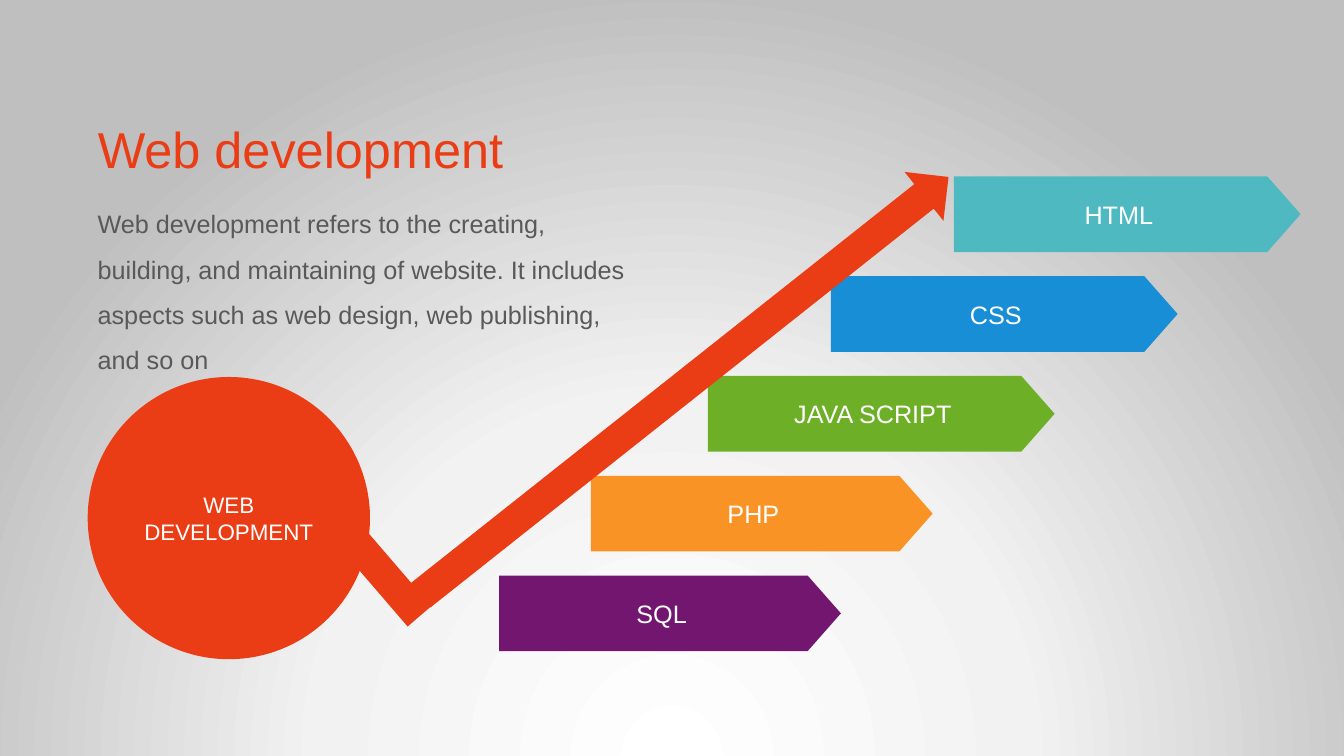
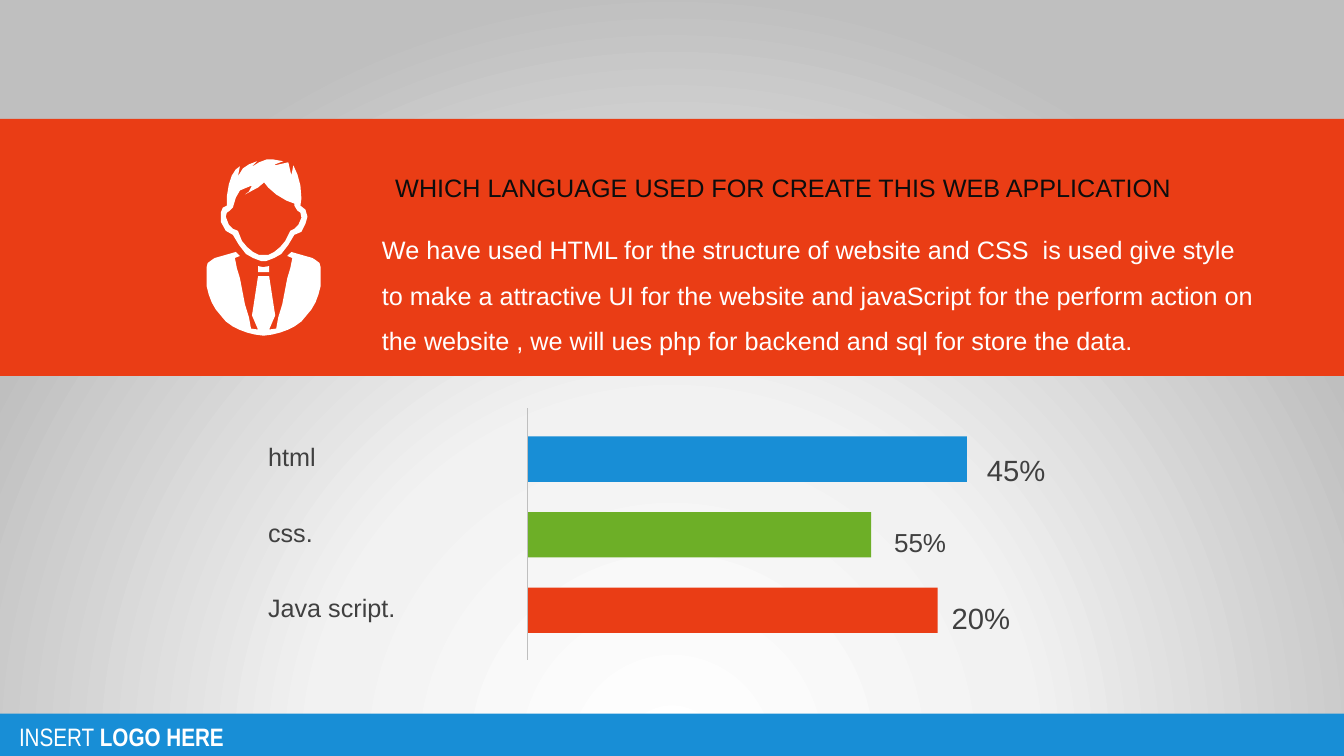
from lxml import etree
from pptx import Presentation
from pptx.dml.color import RGBColor
from pptx.enum import shapes, text
from pptx.oxml import parse_xml
from pptx.oxml.ns import nsdecls, qn
from pptx.util import Inches, Pt

RED = RGBColor(0xEA, 0x3D, 0x15)
BLUE = RGBColor(0x18, 0x8E, 0xD6)
GREEN = RGBColor(0x6D, 0xAF, 0x27)
TEAL = RGBColor(0x4E, 0xB9, 0xC1)
ORANGE = RGBColor(0xF9, 0x93, 0x25)
PURPLE = RGBColor(0x73, 0x16, 0x6F)
WHITE = RGBColor(0xFF, 0xFF, 0xFF)
BLACK = RGBColor(0x0D, 0x0D, 0x0D)
DARK = RGBColor(0x40, 0x40, 0x40)
GREY = RGBColor(0x59, 0x59, 0x59)
SILVER = RGBColor(0xBF, 0xBF, 0xBF)
FONT = "Arial"
NARROW = "Arial Narrow"
SHAPE = shapes.MSO_SHAPE
SLIDE_W = 13.33
BACKDROP = ((0, "FFFFFF"), (46000, "F2F2F2"), (100000, "BFBFBF"))

STEPS = (
    ("HTML", 9.46, 3.44, TEAL),
    ("CSS", 8.24, 3.44, BLUE),
    ("JAVA SCRIPT", 7.02, 3.44, GREEN),
    ("PHP", 5.86, 3.39, ORANGE),
    ("SQL", 4.95, 3.39, PURPLE),
)
BARS = (
    ("html", 4.36, BLUE, "45%", 9.69, 4.38, 36),
    ("css.", 3.41, GREEN, "55%", 8.77, 5.12, 32),
    ("Java script.", 4.07, RED, "20%", 9.34, 5.85, 36),
)

ICON_UNIT = Inches(0.01)
ICON_AXIS_SUM = 523
KNOT = ((256, 264), (261, 265), (267, 264), (267, 270), (256, 270))
JACKET_HALF = (
    (262, 333), (270, 332), (278, 330), (286, 327), (292, 324), (299, 319),
    (304, 313), (309, 307), (313, 300), (316, 292), (318, 284), (318, 265),
    (317, 261), (313, 258), (310, 256), (289, 250), (287, 252), (285, 254),
    (290, 256), (288, 266), (285, 276), (280, 302), (276, 315), (274, 326),
    (267, 327), (273, 313), (267, 274),
)
FACE = (
    (262, 181), (256, 186), (243, 193), (247, 190), (250, 184), (245, 186),
    (238, 189), (234, 196), (231, 206), (228, 209), (225, 211), (224, 215),
    (227, 223), (231, 227), (236, 229), (240, 239), (245, 245), (251, 250),
    (257, 253), (266, 253), (272, 250), (278, 245), (283, 239), (288, 229),
    (292, 227), (296, 223), (299, 216), (298, 211), (295, 209), (292, 204),
    (292, 202), (284, 199), (274, 193), (266, 186),
)
HEAD = (
    (270, 158), (281, 160), (273, 163), (273, 164), (286, 161), (289, 174),
    (291, 164), (295, 173), (298, 184), (299, 197), (298, 204), (303, 208),
    (305, 215), (303, 222), (299, 230), (292, 233), (286, 243), (279, 252),
    (272, 256), (264, 259), (259, 259), (251, 256), (244, 252), (237, 243),
    (231, 233), (224, 229), (219, 220), (219, 211), (221, 206), (225, 204),
    (225, 195), (227, 183), (230, 174), (234, 168), (238, 165), (236, 175),
    (241, 167), (247, 163), (255, 160), (249, 166), (257, 161), (265, 158),
)


def set_backdrop(master):
    """Give the master the grey radial gradient that all slides share."""
    master.background.fill.solid()
    bg = master._element.find(".//" + qn("p:bgPr"))
    stops = "".join(
        f'<a:gs pos="{pos}"><a:srgbClr val="{val}"/></a:gs>' for pos, val in BACKDROP
    )
    bg.replace(bg[0], parse_xml(
        f'<a:gradFill {nsdecls("a")} rotWithShape="1"><a:gsLst>{stops}</a:gsLst>'
        '<a:path path="circle">'
        '<a:fillToRect l="50000" t="130000" r="50000" b="-30000"/>'
        '</a:path></a:gradFill>'
    ))


def format_run(r, size, color, name=FONT):
    """Set the size, colour and font of a run."""
    r.font.size = Pt(size)
    r.font.color.rgb = color
    r.font.name = name


def paint(sp, color):
    """Fill a shape with one flat colour."""
    sp.shadow.inherit = False
    sp.fill.solid()
    sp.fill.fore_color.rgb = color
    sp.line.fill.background()


def add_block(s, kind, box, color, label=None, size=18):
    """Add a flat preset shape with an optional centred white label."""
    sp = s.shapes.add_shape(kind, *map(Inches, box))
    paint(sp, color)
    if label:
        tf = sp.text_frame
        tf.text = label
        tf.word_wrap = True
        tf.vertical_anchor = text.MSO_ANCHOR.MIDDLE
        p = tf.paragraphs[0]
        p.alignment = text.PP_ALIGN.CENTER
        format_run(p.runs[0], size, WHITE)
    return sp


def add_text(s, box, words, color, size=18, wrap=False, spacing=None):
    """Add a text box and return its only paragraph."""
    tf = s.shapes.add_textbox(*map(Inches, box)).text_frame
    tf.text = words
    tf.word_wrap = wrap
    tf.auto_size = text.MSO_AUTO_SIZE.SHAPE_TO_FIT_TEXT
    p = tf.paragraphs[0]
    if spacing:
        p.line_spacing = spacing
    format_run(p.runs[0], size, color)
    return p


def set_title(s, box, words, color, size, wrap):
    """Place the title placeholder in front and format it."""
    sp = s.shapes.title
    sp.left, sp.top, sp.width, sp.height = map(Inches, box)
    tf = sp.text_frame
    tf.text = words
    tf.word_wrap = wrap
    tf.auto_size = text.MSO_AUTO_SIZE.SHAPE_TO_FIT_TEXT
    tf.vertical_anchor = text.MSO_ANCHOR.TOP
    p = tf.paragraphs[0]
    p.alignment = text.PP_ALIGN.LEFT
    format_run(p.runs[0], size, color)
    s.shapes._spTree.append(sp._element)


def add_axis(s, x, top, bottom):
    """Add the thin vertical axis line."""
    c = s.shapes.add_connector(
        shapes.MSO_CONNECTOR.STRAIGHT, *map(Inches, (x, top, x, bottom))
    )
    c.line.color.rgb = SILVER
    c.line.width = Pt(0.5)
    etree.SubElement(c._element.spPr, qn("a:effectLst"))


def add_outline(parent, *contours):
    """Add one white freeform made of closed contours."""
    fb = parent.shapes.build_freeform(*contours[0][0], scale=ICON_UNIT)
    fb.add_line_segments(contours[0][1:], close=True)
    for contour in contours[1:]:
        fb.move_to(*contour[0])
        fb.add_line_segments(contour[1:], close=True)
    paint(fb.convert_to_shape(), WHITE)


def add_person(s):
    """Add the icon of a person in a jacket and tie."""
    group = s.shapes.add_group_shape()
    mirrored = tuple((ICON_AXIS_SUM - x, y) for x, y in reversed(JACKET_HALF))
    add_outline(group, KNOT)
    add_outline(group, JACKET_HALF + mirrored)
    add_outline(group, HEAD, FACE)


def add_footer(s):
    """Add the blue footer band with its two-weight caption."""
    add_block(s, SHAPE.RECTANGLE, (0, 7.08, SLIDE_W, 0.46), BLUE)
    p = add_text(s, (0.09, 7.11, 3.28, 0.4), "INSERT ", WHITE, wrap=True)
    p.add_run().text = "LOGO HERE"
    for r in p.runs:
        format_run(r, 18, WHITE, NARROW)
    p.runs[1].font.bold = True


def build_steps_slide(s):
    """Build the slide with the rising arrow and the five languages."""
    for i, (label, left, width, color) in enumerate(STEPS):
        box = (left, 1.75 + 0.99 * i, width, 0.75)
        sp = add_block(s, SHAPE.PENTAGON, box, color, label)
        sp.adjustments[0] = 0.44
    arrow = add_block(s, SHAPE.RIGHT_ARROW, (3.45, 3.52, 6.68, 0.62), RED)
    arrow.rotation = 321.6
    stem = add_block(s, SHAPE.RECTANGLE, (3.31, 5.57, 1.03, 0.31), RED)
    stem.rotation = 49.3
    add_block(s, SHAPE.OVAL, (0.87, 3.74, 2.8, 2.8), RED, "WEB DEVELOPMENT", 16)
    add_text(
        s, (0.87, 1.87, 5.59, 2.22),
        "Web development refers to the creating, building, and maintaining of "
        "website. It includes aspects such as web design, web publishing, and so on",
        GREY, wrap=True, spacing=1.5,
    )
    set_title(s, (0.87, 1.12, 4.26, 0.71), "Web development", RED, 36, False)


def build_languages_slide(s):
    """Build the slide with the red band and the three bars."""
    for i, (label, width, color, share, left, top, size) in enumerate(BARS):
        y = 4.33 + 0.75 * i
        add_block(s, SHAPE.RECTANGLE, (5.23, y, width, 0.45), color)
        add_text(s, (2.56, y, 1.48, 0.4), label, DARK, wrap=True)
        p = add_text(s, (left, top, 0.88 if size == 36 else 0.8, 0.5), share, DARK, size)
        p.runs[0]._r.get_or_add_rPr().set("baseline", "30000")
    add_axis(s, 5.23, 4.05, 6.55)
    add_block(s, SHAPE.RECTANGLE, (0, 1.18, SLIDE_W, 2.55), RED)
    set_title(
        s, (3.82, 1.66, 8.26, 0.4),
        "WHICH LANGUAGE USED FOR CREATE THIS WEB APPLICATION", BLACK, 18, True,
    )
    add_person(s)
    add_text(
        s, (3.69, 2.13, 8.88, 1.41),
        "We have used HTML for the structure of website and CSS  is used give "
        "style to make a attractive UI for the website and javaScript for the "
        "perform action on the website , we will ues php for backend and sql "
        "for store the data.",
        WHITE, wrap=True, spacing=1.5,
    )
    add_footer(s)


def main():
    """Build and save the presentation."""
    prs = Presentation()
    prs.slide_width, prs.slide_height = Inches(SLIDE_W), Inches(7.5)
    set_backdrop(prs.slide_master)
    for build in (build_steps_slide, build_languages_slide):
        build(prs.slides.add_slide(prs.slide_layouts[5]))
    prs.save("out.pptx")


if __name__ == "__main__":
    main()
